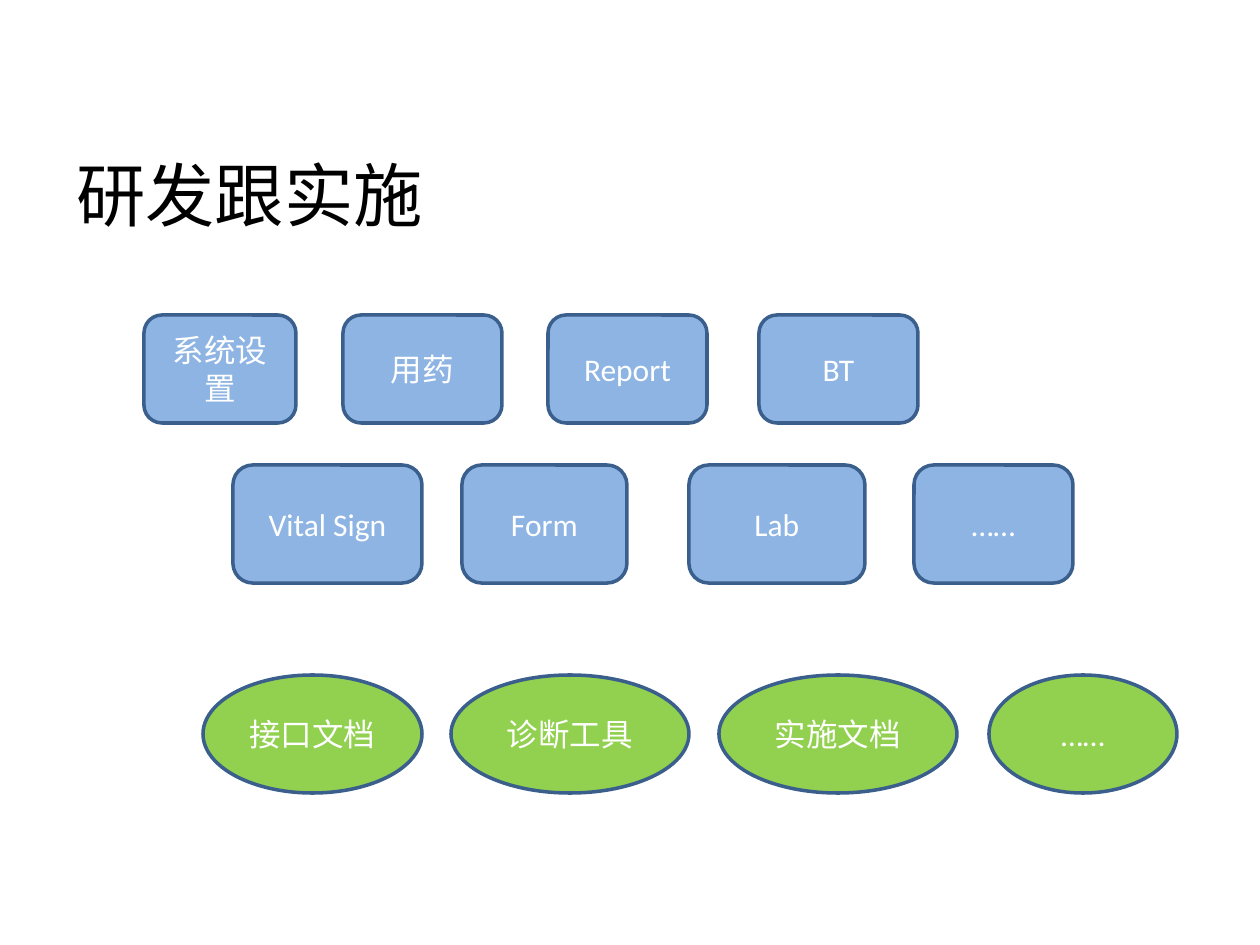
from pptx import Presentation
from pptx import util as u
from pptx.dml.color import RGBColor
from pptx.enum import shapes, text

COLORS = {"ink": "000000", "label": "FFFFFF", "module": "8EB4E3",
          "tool": "92D050", "outline": "3A5F8C"}
FONT = "Calibri"
ROUNDED = shapes.MSO_SHAPE.ROUNDED_RECTANGLE
OVAL = shapes.MSO_SHAPE.OVAL

ROWS = [
    (ROUNDED, "module", 315, 108,
     [("系统设置", 144, 152), ("用药", 343, 159),
      ("Report", 548, 159), ("BT", 759, 159)]),
    (ROUNDED, "module", 465, 118,
     [("Vital Sign", 233, 189), ("Form", 462, 165),
      ("Lab", 689, 176), ("……", 914, 159)]),
    (OVAL, "tool", 675, 118,
     [("接口文档", 203, 219), ("诊断工具", 451, 238),
      ("实施文档", 719, 238), ("……", 989, 188)]),
]


def px(length):
    """Turn px into EMU at 126 px to the inch."""
    return u.Emu(round(length * 914400 / 126))


def color(name):
    """Look up a named colour."""
    return RGBColor.from_string(COLORS[name])


def write(box, words, *, size, ink, align):
    """Put one formatted, vertically centred line of text in a shape."""
    frame = box.text_frame
    frame.word_wrap = True
    frame.vertical_anchor = text.MSO_ANCHOR.MIDDLE
    para = frame.paragraphs[0]
    para.alignment = align
    span = para.add_run()
    span.text = words
    span.font.name = FONT
    span.font.size = u.Pt(size)
    span.font.color.rgb = color(ink)


def add_title(page, words):
    """Add the slide heading."""
    box = page.shapes.add_textbox(px(64), px(145), px(1134), px(98))
    write(box, words, size=39.6, ink="ink", align=text.PP_ALIGN.LEFT)


def add_node(page, kind, fill, words, left, top, width, height):
    """Add a filled, outlined shape with a centred label."""
    node = page.shapes.add_shape(kind, px(left), px(top), px(width), px(height))
    node.shadow.inherit = False
    node.fill.solid()
    node.fill.fore_color.rgb = color(fill)
    node.line.color.rgb = color("outline")
    node.line.width = u.Pt(2)
    write(node, words, size=18, ink="label", align=text.PP_ALIGN.CENTER)


def main():
    """Build and save the slide."""
    deck = Presentation()
    deck.slide_width, deck.slide_height = px(1260), px(945)
    page = deck.slides.add_slide(deck.slide_layouts[6])
    add_title(page, "研发跟实施")
    for kind, fill, top, height, nodes in ROWS:
        for words, left, width in nodes:
            add_node(page, kind, fill, words, left, top, width, height)
    deck.save("out.pptx")


if __name__ == "__main__":
    main()
